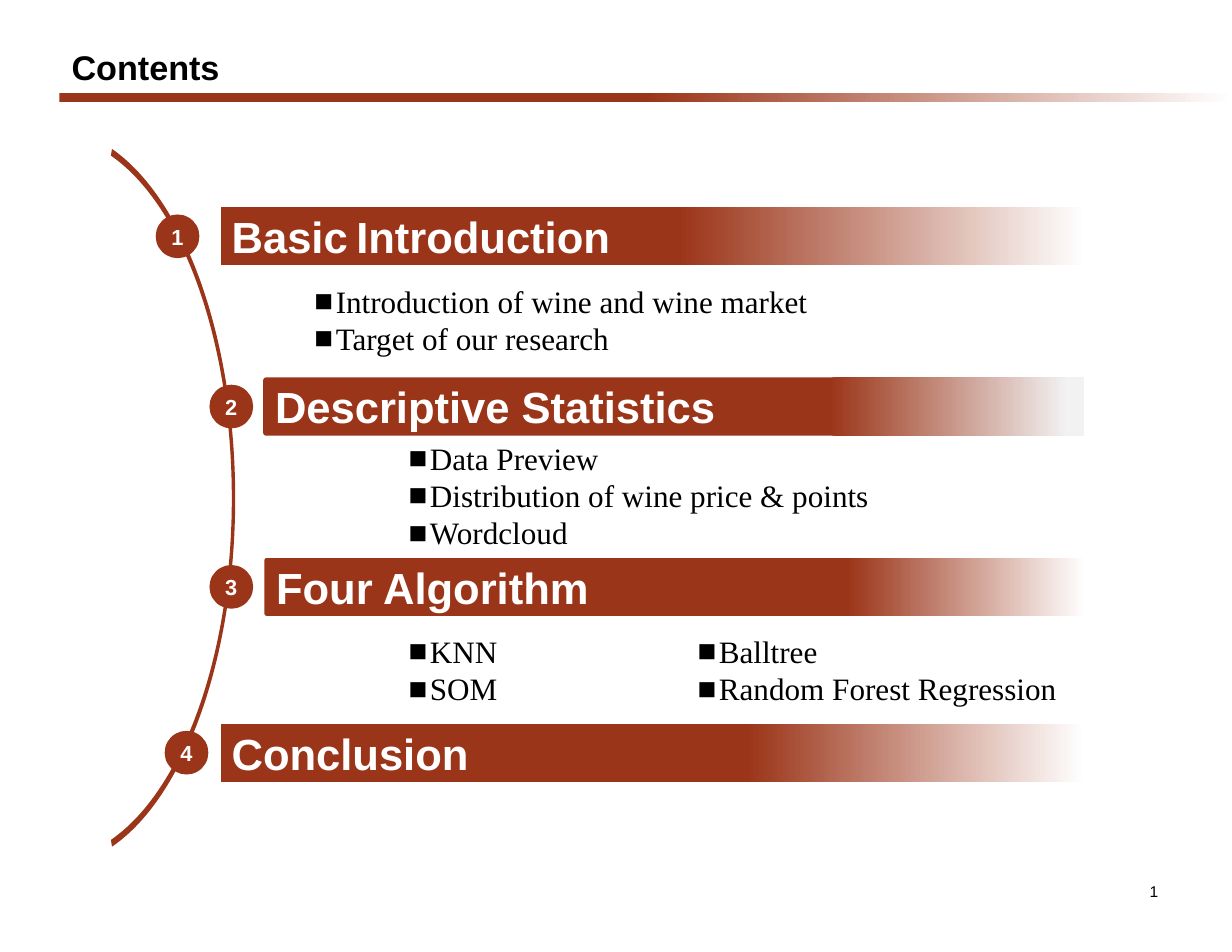
from dataclasses import dataclass

from lxml import etree
from pptx import Presentation
from pptx import util as u
from pptx.dml.color import RGBColor
from pptx.enum import shapes, text
from pptx.oxml import ns

COLOURS = {"brown": "9B3519", "white": "FFFFFF", "grey": "F2F2F2", "black": "000000"}
BANNER_HEIGHT = 0.52
BADGE_SIZE = 0.39
LIST_HEIGHT = 0.52
LIST_INDENT = 0.19
ARC_LEFT, ARC_TOP = 0.99, 1.33
ARC_START = (0.99, 1.39)
ARC_SEGMENTS = (
    ((1.64, 1.84), (2.07, 3.07), (2.07, 4.45)),
    ((2.07, 5.83), (1.64, 7.05), (0.99, 7.5)),
    ((1, 7.56),),
    ((1.66, 7.11), (2.1, 5.85), (2.1, 4.45)),
    ((2.1, 3.04), (1.66, 1.79), (1, 1.33)),
)


@dataclass(frozen=True)
class Section:
    title: str
    left: float
    top: float
    width: float
    badge_left: float
    fade_start: float
    fade_end: float = 1.0
    fade_colour: str = "white"
    corner: float = 0.0
    space_size: float | None = None


@dataclass(frozen=True)
class BulletList:
    left: float
    top: float
    width: float
    lines: tuple[str, ...]


SECTIONS = (
    Section("Basic Introduction", 1.97, 1.85, 7.72, 1.39, 0.53, space_size=20),
    Section("Descriptive Statistics", 2.35, 3.37, 7.33, 1.87, 0.69, 0.98, "grey", 0.05),
    Section("Four Algorithm", 2.36, 4.98, 7.33, 1.87, 0.71, corner=0.05),
    Section("Conclusion", 1.97, 6.46, 7.71, 1.47, 0.61),
)
LISTS = (
    BulletList(2.71, 2.59, 5.87, ("Introduction of wine and wine market", "Target of our research")),
    BulletList(3.55, 4.16, 5.78, ("Data Preview", "Distribution of wine price & points", "Wordcloud")),
    BulletList(3.55, 5.72, 5.78, ("KNN", "SOM")),
    BulletList(6.13, 5.72, 5.78, ("Balltree", "Random Forest Regression")),
)


def colour(name: str) -> RGBColor:
    return RGBColor.from_string(COLOURS[name])


def add_bullet(paragraph) -> None:
    properties = paragraph._p.get_or_add_pPr()
    properties.set("marL", str(u.Inches(LIST_INDENT)))
    properties.set("indent", str(-u.Inches(LIST_INDENT)))
    etree.SubElement(properties, ns.qn("a:buFont")).set("typeface", "Arial")
    etree.SubElement(properties, ns.qn("a:buChar")).set("char", "■")
    paragraph.line_spacing = u.Pt(24)


def write(shape, *lines: str, size: float, font: str = "Arial", ink: str = "black",
          bold: bool = False, align=text.PP_ALIGN.LEFT, inset: tuple[float, float] = (0.1, 0.05),
          wrap: bool = True, bullets: bool = False, space_size: float | None = None) -> None:
    frame = shape.text_frame
    frame.word_wrap = wrap
    frame.vertical_anchor = text.MSO_ANCHOR.MIDDLE
    frame.margin_left = frame.margin_right = u.Inches(inset[0])
    frame.margin_top = frame.margin_bottom = u.Inches(inset[1])
    for index, line in enumerate(lines):
        paragraph = frame.add_paragraph() if index else frame.paragraphs[0]
        paragraph.alignment = align
        if bullets:
            add_bullet(paragraph)
        for part in line.partition(" ") if space_size else (line,):
            run = paragraph.add_run()
            run.text = part
            run.font.name = font
            run.font.size = u.Pt(space_size if part == " " else size)
            run.font.bold = bold
            run.font.color.rgb = colour(ink)


def add_text_box(slide, left: float, top: float, width: float, height: float):
    return slide.shapes.add_textbox(*map(u.Inches, (left, top, width, height)))


def paint(shape) -> None:
    shape.shadow.inherit = False
    shape.line.fill.background()
    shape.fill.solid()
    shape.fill.fore_color.rgb = colour("brown")


def add_shape(slide, kind, left: float, top: float, width: float, height: float):
    shape = slide.shapes.add_shape(kind, *map(u.Inches, (left, top, width, height)))
    paint(shape)
    return shape


def fade(shape, start: float, end: float = 1.0, target: str = "white") -> None:
    shape.fill.gradient()
    shape.fill.gradient_angle = 0
    stops = zip(shape.fill.gradient_stops, (start, end), ("brown", target))
    for stop, position, name in stops:
        stop.position = position
        stop.color.rgb = colour(name)


def draw_arc(slide) -> None:
    builder = slide.shapes.build_freeform(*map(u.Inches, ARC_START))
    builder.add_line_segments([tuple(map(u.Inches, points[-1])) for points in ARC_SEGMENTS])
    arc = builder.convert_to_shape()
    paint(arc)
    lines = list(arc._element.iter(ns.qn("a:lnTo")))
    for line, points in zip(lines, ARC_SEGMENTS):
        if len(points) == 3:
            curve = etree.Element(ns.qn("a:cubicBezTo"))
            for x, y in points:
                point = etree.SubElement(curve, ns.qn("a:pt"))
                point.set("x", str(u.Inches(x) - u.Inches(ARC_LEFT)))
                point.set("y", str(u.Inches(y) - u.Inches(ARC_TOP)))
            line.getparent().replace(line, curve)


def draw_section(slide, number: int, section: Section) -> None:
    banner = add_shape(slide, shapes.MSO_SHAPE.ROUNDED_RECTANGLE, section.left, section.top,
                       section.width, BANNER_HEIGHT)
    banner.adjustments[0] = section.corner
    fade(banner, section.fade_start, section.fade_end, section.fade_colour)
    write(banner, section.title, size=28, ink="white", bold=True, space_size=section.space_size)
    badge_top = section.top + (BANNER_HEIGHT - BADGE_SIZE) / 2
    badge = add_shape(slide, shapes.MSO_SHAPE.OVAL, section.badge_left, badge_top,
                      BADGE_SIZE, BADGE_SIZE)
    write(badge, str(number), size=14, ink="white", bold=True, align=text.PP_ALIGN.CENTER,
          inset=(0, 0), wrap=False)


def draw_list(slide, item: BulletList) -> None:
    box = add_text_box(slide, item.left, item.top, item.width, LIST_HEIGHT)
    write(box, *item.lines, size=20, font="Times New Roman", bullets=True)


def main() -> None:
    """Build the contents slide."""
    presentation = Presentation()
    presentation.slide_width = u.Inches(11)
    presentation.slide_height = u.Inches(8.5)
    slide = presentation.slides.add_slide(presentation.slide_layouts[6])

    write(add_text_box(slide, 9.83, 7.82, 0.59, 0.28), "1", size=10,
          align=text.PP_ALIGN.RIGHT, inset=(0.08, 0.02))
    fade(add_shape(slide, shapes.MSO_SHAPE.RECTANGLE, 0.53, 0.83, 10.47, 0.08), 0.5)
    write(add_text_box(slide, 0.53, 0.36, 4.23, 0.47), "Contents", size=22, bold=True,
          inset=(0.11, 0.06))
    draw_arc(slide)
    for number, section in enumerate(SECTIONS, start=1):
        draw_section(slide, number, section)
    for item in LISTS:
        draw_list(slide, item)
    presentation.save("out.pptx")


if __name__ == "__main__":
    main()
